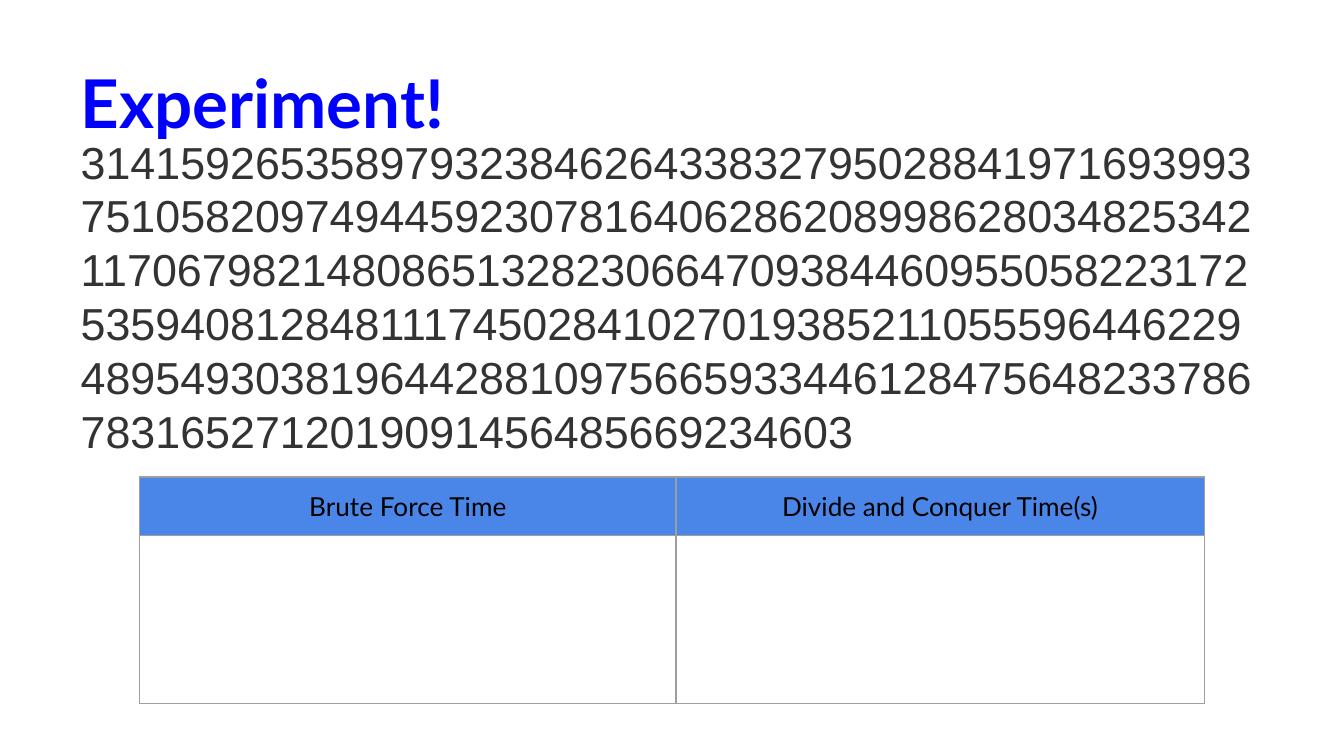
import pptx
import pptx.dml.color
import pptx.enum.text
import pptx.oxml
import pptx.oxml.ns
import pptx.util

Inches, Pt = pptx.util.Inches, pptx.util.Pt
ALIGN, ANCHOR = pptx.enum.text.PP_ALIGN, pptx.enum.text.MSO_ANCHOR
NS = pptx.oxml.ns.nsdecls("a")
PI_DIGITS = (
    "31415926535897932384626433832795028841971693993"
    "75105820974944592307816406286208998628034825342"
    "11706798214808651328230664709384460955058223172"
    "53594081284811174502841027019385211055596446229"
    "48954930381964428810975665933446128475648233786"
    "7831652712019091456485669234603"
)


def color(value):
    return pptx.dml.color.RGBColor.from_string(value)


def write(frame, text, font="Lato", size=14, ink="000000", bold=False,
          align=ALIGN.LEFT, before=0):
    para = frame.paragraphs[0]
    para.alignment = align
    para.space_before = Pt(before)
    para.line_spacing = 1.0
    span = para.add_run()
    span.text = text
    span.font.name = font
    span.font.size = Pt(size)
    span.font.bold = bold
    span.font.color.rgb = color(ink)
    return para, span


# Page in 16:9
deck = pptx.Presentation()
deck.slide_width = Inches(10)
deck.slide_height = deck.slide_width * 9 // 16
page = deck.slides.add_slide(deck.slide_layouts[1])
margin = deck.slide_width // 20
content_width = deck.slide_width - 2 * margin

# Placeholder places
title, body = page.placeholders
for box, top, height, anchor in ((title, 0.22, 0.94, ANCHOR.BOTTOM),
                                 (body, 0.9, 4.07, ANCHOR.TOP)):
    box.left, box.top = margin, Inches(top)
    box.width, box.height = content_width, Inches(height)
    frame = box.text_frame
    frame.word_wrap = True
    frame.auto_size = pptx.enum.text.MSO_AUTO_SIZE.NONE
    frame.vertical_anchor = anchor
    frame.margin_left = frame.margin_right = Inches(0.1)
    frame.margin_top = frame.margin_bottom = Inches(0.1)

# Title and digits
write(title.text_frame, "Experiment!", size=36, ink="0000FF", bold=True)
para, span = write(body.text_frame, PI_DIGITS, font="Arial", size=24,
                   ink="333333", before=6)

# No bullet, white highlight behind the digits
properties = para._p.get_or_add_pPr()
properties.set("marL", "0")
properties.set("indent", "0")
properties.append(pptx.oxml.parse_xml(f"<a:buNone {NS}/>"))
fill = span._r.rPr.find(pptx.oxml.ns.qn("a:solidFill"))
fill.addnext(pptx.oxml.parse_xml(
    f'<a:highlight {NS}><a:srgbClr val="FFFFFF"/></a:highlight>'))

# Timing table
headings = ("Brute Force Time", "Divide and Conquer Time(s)")
column_widths, row_heights = (3.99, 3.93), (0.43, 1.25)
table = page.shapes.add_table(2, 2, Inches(1.04), Inches(3.55),
                              Inches(sum(column_widths)),
                              Inches(sum(row_heights))).table
table.first_row = table.horz_banding = False
for column, width in zip(table.columns, column_widths):
    column.width = Inches(width)
for row, height in zip(table.rows, row_heights):
    row.height = Inches(height)

for cell in table.iter_cells():
    cell.margin_left = cell.margin_right = Inches(0.1)
    cell.margin_top = cell.margin_bottom = Inches(0.1)
    for side in "LRTB":
        cell._tc.get_or_add_tcPr().append(pptx.oxml.parse_xml(
            f'<a:ln{side} {NS} w="{Pt(0.75)}"><a:solidFill>'
            f'<a:srgbClr val="9E9E9E"/></a:solidFill></a:ln{side}>'))
    cell.fill.background()

for index, heading in enumerate(headings):
    cell = table.cell(0, index)
    cell.fill.solid()
    cell.fill.fore_color.rgb = color("4A86E8")
    write(cell.text_frame, heading, align=ALIGN.CENTER)

deck.save("out.pptx")
